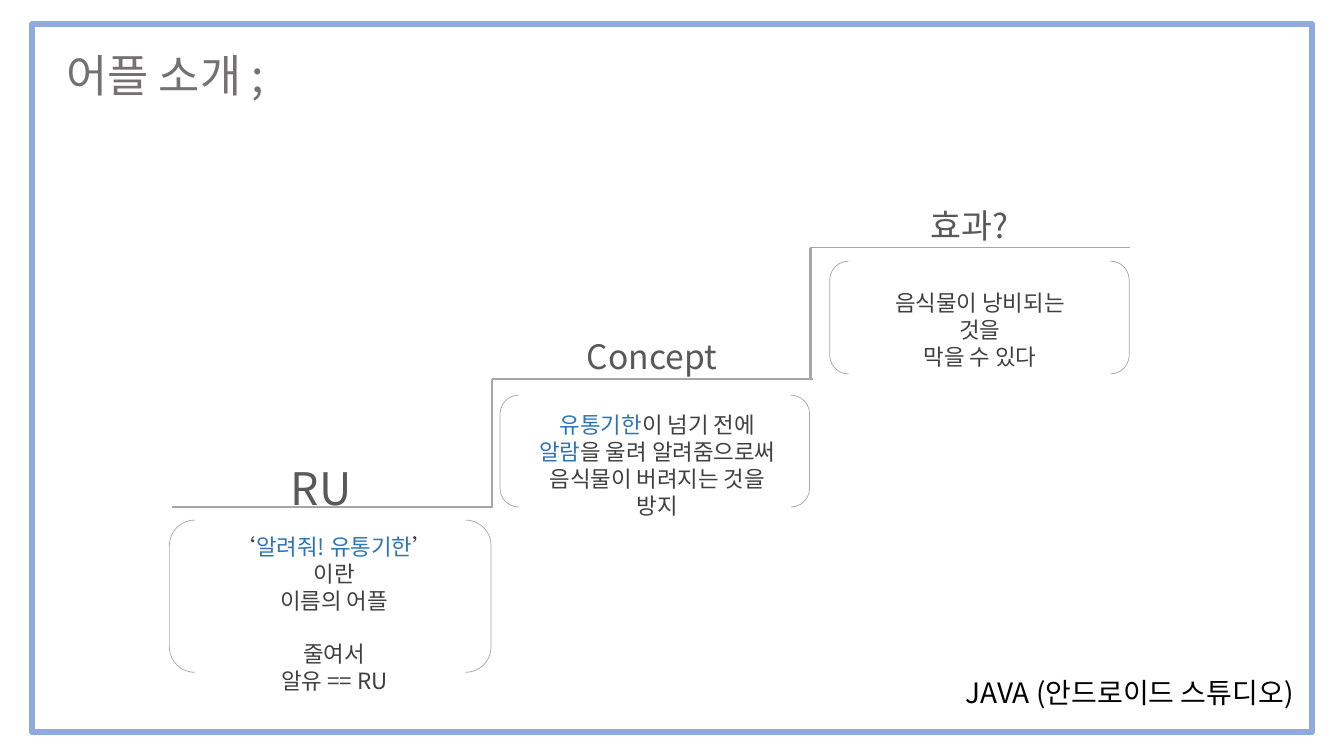
"""Build the app introduction slide with its three ascending steps."""
from lxml import etree
from pptx import Presentation
from pptx.dml.color import RGBColor
from pptx.enum.shapes import MSO_CONNECTOR, MSO_SHAPE
from pptx.enum.text import PP_ALIGN
from pptx.oxml.ns import qn
from pptx.util import Inches, Pt

RECT, BRACKETS = MSO_SHAPE.RECTANGLE, MSO_SHAPE.DOUBLE_BRACKET
STRAIGHT = MSO_CONNECTOR.STRAIGHT
LEFT, CENTER, RIGHT = PP_ALIGN.LEFT, PP_ALIGN.CENTER, PP_ALIGN.RIGHT
FONT = "Noto Sans CJK KR"
FRAME, GRAY, HEADING, BODY, BLUE = "8FAADC", "A6A6A6", "595959", "404040", "2E75B6"


def rgb(value):
    return RGBColor.from_string(value)


def add_text(box, paragraphs, size, align=CENTER, wrap=True):
    tf = s.shapes.add_textbox(*map(Inches, box)).text_frame
    tf.word_wrap = wrap
    for i, runs in enumerate(paragraphs):
        p = tf.paragraphs[0] if i == 0 else tf.add_paragraph()
        p.alignment = align
        for text, color in runs:
            r = p.add_run()
            r.text = text
            r.font.size = Pt(size)
            r.font.name = FONT
            r.font.color.rgb = rgb(color)
            ea = etree.SubElement(r.font._element, qn("a:ea"))
            ea.set("typeface", FONT)
    return tf


prs = Presentation()
prs.slide_width, prs.slide_height = Inches(13.33), Inches(7.5)
s = prs.slides.add_slide(prs.slide_layouts[6])

outlines = [
    (RECT, (0.32, 0.24, 12.69, 7.02), FRAME, 4.5),
    (BRACKETS, (1.68, 5.16, 3.19, 1.51), GRAY, 0.5),
    (BRACKETS, (4.96, 3.92, 3.07, 1.11), GRAY, 0.5),
    (BRACKETS, (8.23, 2.59, 2.97, 1.12), GRAY, 0.5),
]
for kind, box, color, width in outlines:
    sp = s.shapes.add_shape(kind, *map(Inches, box))
    sp.shadow.inherit = False
    sp.fill.background()
    sp.line.color.rgb = rgb(color)
    sp.line.width = Pt(width)

step_lines = [
    (1.71, 5.03, 4.89, 5.03, 0.75),
    (4.88, 3.76, 8.06, 3.76, 0.75),
    (8.03, 2.46, 11.21, 2.46, 0.75),
    (4.88, 3.76, 4.88, 5.03, 2),
    (8.04, 2.46, 8.04, 3.77, 2),
]
for *ends, width in step_lines:
    line = s.shapes.add_connector(STRAIGHT, *map(Inches, ends))
    line.line.color.rgb = rgb(GRAY)
    line.line.width = Pt(width)
    etree.SubElement(line._element.spPr, qn("a:effectLst"))

headings = [
    ("RU", (1.03, 4.52, 4.31, 0.64), 32),
    ("Concept", (4.31, 3.28, 4.31, 0.5), 24),
    ("효과?", (7.46, 1.98, 4.31, 0.5), 24),
]
for text, box, size in headings:
    add_text(box, [[(text, HEADING)]], size)

meaning = add_text((2.22, 5.24, 2.19, 1.45), [
    [("‘", BODY), ("알려줘! 유통기한", BLUE), ("’ 이란", BODY)],
    [("이름의 어플", BODY)],
    [("줄여서", BODY)],
    [("알유 == RU", BODY)],
], 16)
meaning.paragraphs[2].space_before = Pt(19)
add_text((5.22, 4.03, 2.6, 0.91), [
    [("유통기한", BLUE), ("이 넘기 전에", BODY)],
    [("알람", BLUE), ("을 울려 알려줌으로써", BODY)],
    [("음식물이 버려지는 것을 방지", BODY)],
], 16)
add_text((8.6, 2.82, 2.24, 0.64), [
    [("음식물이 낭비되는 것을", BODY)],
    [("막을 수 있다", BODY)],
], 16)

add_text((0.56, 0.42, 2.18, 0.64), [[("어플 소개 ;", "767171")]], 32, LEFT, False)
add_text((7.62, 6.65, 5.31, 0.44), [[("JAVA (안드로이드 스튜디오)", "000000")]], 20, RIGHT)

prs.save("out.pptx")
